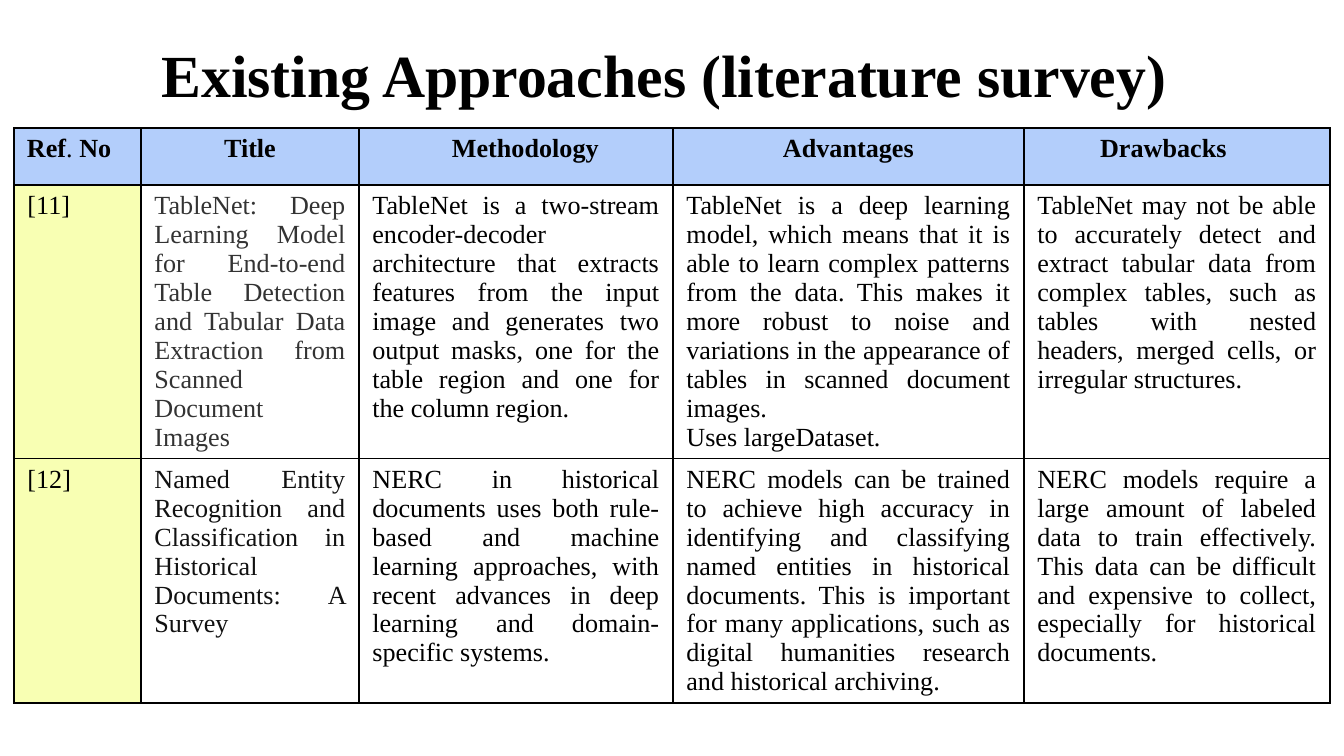
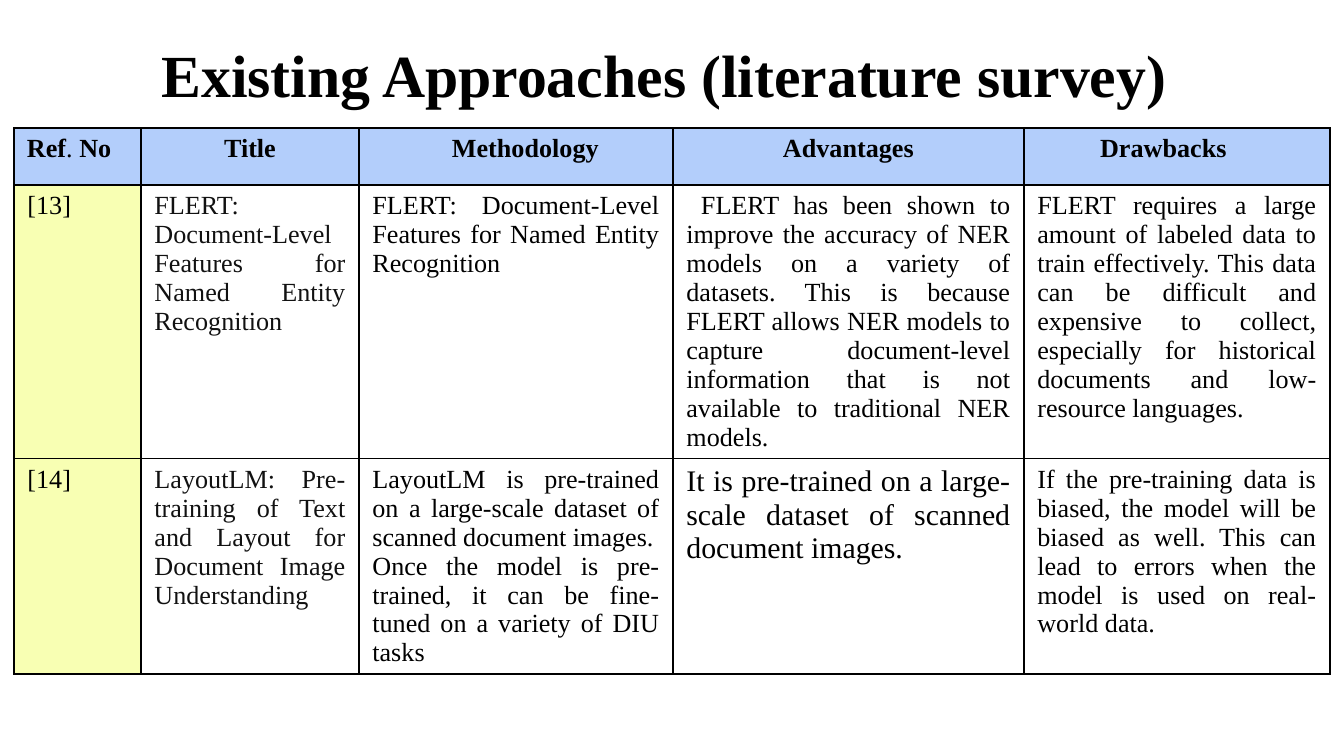
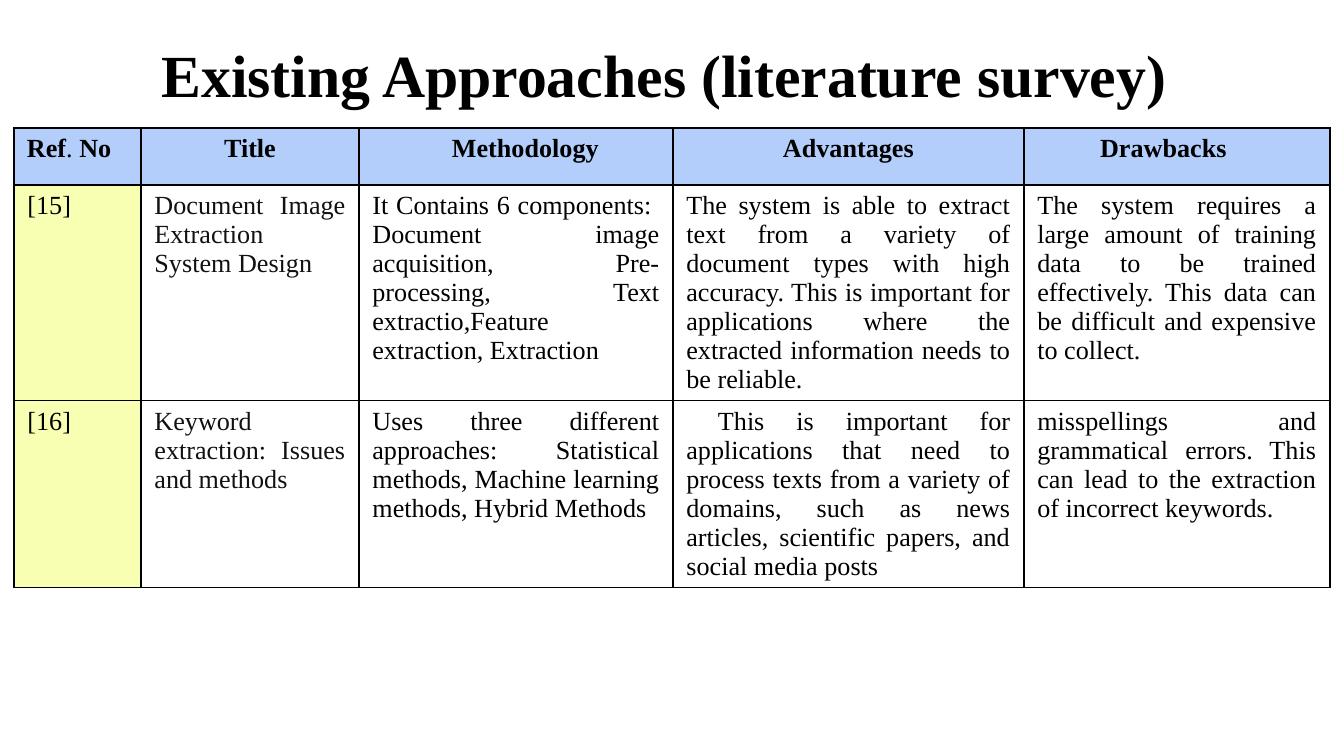
from dataclasses import dataclass
from typing import NamedTuple

from lxml import etree
from pptx import Presentation
from pptx.dml.color import RGBColor
from pptx.enum.text import MSO_ANCHOR, MSO_AUTO_SIZE, PP_ALIGN
from pptx.oxml.ns import qn
from pptx.util import Emu, Pt

CENTER, JUSTIFY = PP_ALIGN.CENTER, PP_ALIGN.JUSTIFY
MIDDLE, NO_AUTOFIT = MSO_ANCHOR.MIDDLE, MSO_AUTO_SIZE.NONE

EMU_PER_PX = 914400 / 134.4
TITLE_ONLY_LAYOUT = 5


@dataclass(frozen=True)
class Theme:
    font: str = "Times New Roman"
    ink: str = "000000"
    soft_ink: str = "111111"
    gray_ink: str = "333333"
    header_fill: str = "B3CEFB"
    reference_fill: str = "F8FFB3"
    title_size: int = 32
    body_size: int = 14
    large_size: int = 16
    border_width: int = 1


THEME = Theme()


class Column(NamedTuple):
    heading: str
    width: int
    align: PP_ALIGN = CENTER
    extra_left: int = 0
    extra_right: int = 0


class Paper(NamedTuple):
    ref: str
    title: str
    methodology: str
    advantages: str
    drawbacks: str
    title_color: str = THEME.soft_ink
    advantages_size: int = THEME.body_size


class SurveyPage(NamedTuple):
    table_height: int
    papers: tuple[Paper, ...]


SURVEY_TITLE = "Existing Approaches (literature survey) "
TABLE_LEFT, TABLE_TOP = 14, 128
HEADER_HEIGHT, PAPER_HEIGHT = 57, 169
CELL_MARGIN = 13

COLUMNS = (
    Column("Ref|. |No", 127, JUSTIFY),
    Column("Title", 218),
    Column("Methodology", 314, extra_left=19),
    Column("Advantages", 351),
    Column("Drawbacks", 306, extra_right=27),
)

PAGES = (
    SurveyPage(617, (
        Paper(
            "[11]",
            "TableNet: Deep Learning Model for End-to-end Table Detection and "
            "Tabular Data Extraction from Scanned Document Images",
            "TableNet is a two-stream encoder-decoder architecture that extracts "
            "features from the input image and generates two output masks, one for "
            "the table region and one for the column region.",
            "TableNet is a deep learning model, which means that it is able to learn "
            "complex patterns from the data. This makes it more robust to noise and "
            "variations in the appearance of tables in scanned document images.\n"
            "Uses largeDataset.",
            "TableNet may not be able to accurately detect and extract tabular data "
            "from complex tables, such as tables with nested headers, merged cells, "
            "or irregular structures.",
            title_color=THEME.gray_ink,
        ),
        Paper(
            "[12]",
            "Named Entity Recognition and Classification in Historical Documents: "
            "A Survey",
            "NERC in historical documents uses both rule-based and machine learning "
            "approaches, with recent advances in deep learning and domain-specific "
            "systems.",
            "NERC models can be trained to achieve high accuracy in identifying and "
            "classifying named entities in historical documents. This is important "
            "for many applications, such as digital humanities research and "
            "historical archiving.",
            "NERC models require a large amount of labeled data to train effectively. "
            "This data can be difficult and expensive to collect, especially for "
            "historical documents.",
        ),
    )),
    SurveyPage(585, (
        Paper(
            "[13]",
            "FLERT: Document-Level Features for Named Entity Recognition",
            "FLERT: Document-Level Features for Named Entity Recognition",
            " FLERT has been shown to improve the accuracy of NER models on a variety "
            "of datasets. This is because FLERT allows NER models to capture "
            "document-level information that is not available to traditional NER "
            "models.",
            "FLERT requires a large amount of labeled data to train effectively. This "
            "data can be difficult and expensive to collect, especially for "
            "historical documents and low-resource languages.",
        ),
        Paper(
            "[14]",
            "LayoutLM: Pre-training of Text and Layout for Document Image "
            "Understanding",
            "LayoutLM is pre-trained on a large-scale dataset of scanned document "
            "images.\n"
            "Once the model is pre-trained, it can be fine-tuned on a variety of DIU "
            "tasks",
            "It is pre-trained on a large-scale dataset of scanned document images.",
            "If the pre-training data is biased, the model will be biased as well. "
            "This can lead to errors when the model is used on real-world data.",
            advantages_size=THEME.large_size,
        ),
    )),
    SurveyPage(491, (
        Paper(
            "[15]",
            "Document Image Extraction System Design",
            "It Contains 6 components:  Document image acquisition, "
            "Pre-processing, Text extractio,Feature extraction, Extraction",
            "The system is able to extract text from a variety of document types with "
            "high accuracy. This is important for applications where the extracted "
            "information needs to be reliable.",
            "The system requires a large amount of training data to be trained "
            "effectively. This data can be difficult and expensive to collect.",
        ),
        Paper(
            "[16]",
            "Keyword extraction: Issues and methods",
            "Uses three different approaches: Statistical methods, Machine learning "
            "methods, Hybrid Methods",
            " This is important for applications that need to process texts from a "
            "variety of domains, such as news articles, scientific papers, and social "
            "media posts",
            "misspellings and grammatical errors. This can lead to the extraction of "
            "incorrect keywords.",
        ),
    )),
)


def px(length: int) -> Emu:
    return Emu(round(length * EMU_PER_PX))


def write_text(frame, text: str, *, size: int = THEME.body_size,
               color: str = THEME.ink, bold: bool = False,
               align: PP_ALIGN = JUSTIFY) -> None:
    """Write one paragraph per line; each "|" switches bold on or off."""
    for index, line in enumerate(text.split("\n")):
        paragraph = frame.add_paragraph() if index else frame.paragraphs[0]
        paragraph.alignment = align
        for piece_index, piece in enumerate(line.split("|")):
            run = paragraph.add_run()
            run.text = piece
            run.font.name = THEME.font
            run.font.size = Pt(size)
            run.font.bold = bold ^ (piece_index % 2 == 1)
            run.font.color.rgb = RGBColor.from_string(color)


def format_cell(cell, fill: str | None = None) -> None:
    """Draw the four borders, then set the fill that must follow them."""
    properties = cell._tc.get_or_add_tcPr()
    for side in ("a:lnL", "a:lnR", "a:lnT", "a:lnB"):
        border = etree.SubElement(properties, qn(side), w=str(Pt(THEME.border_width)))
        solid = etree.SubElement(border, qn("a:solidFill"))
        etree.SubElement(solid, qn("a:srgbClr"), val=THEME.ink)
    if fill:
        cell.fill.solid()
        cell.fill.fore_color.rgb = RGBColor.from_string(fill)
    else:
        cell.fill.background()


def add_title(slide) -> None:
    title = slide.shapes.title
    title.left, title.top, title.width, title.height = map(px, (0, 19, 1344, 109))
    frame = title.text_frame
    frame.margin_left = frame.margin_right = px(CELL_MARGIN)
    frame.margin_top = frame.margin_bottom = px(CELL_MARGIN)
    frame.word_wrap = True
    frame.auto_size = NO_AUTOFIT
    frame.vertical_anchor = MIDDLE
    write_text(frame, SURVEY_TITLE, size=THEME.title_size, bold=True, align=CENTER)


def fill_header(table) -> None:
    for index, column in enumerate(COLUMNS):
        table.columns[index].width = px(column.width)
        cell = table.cell(0, index)
        format_cell(cell, THEME.header_fill)
        cell.margin_left = px(CELL_MARGIN + column.extra_left)
        cell.margin_right = px(CELL_MARGIN + column.extra_right)
        write_text(cell.text_frame, column.heading, bold=True, align=column.align)


def fill_paper(table, row: int, paper: Paper) -> None:
    ref, title, methodology, advantages, drawbacks = (
        table.cell(row, index) for index in range(len(COLUMNS)))
    format_cell(ref, THEME.reference_fill)
    for cell in (title, methodology, advantages, drawbacks):
        format_cell(cell)
    write_text(ref.text_frame, paper.ref)
    write_text(title.text_frame, paper.title, color=paper.title_color)
    write_text(methodology.text_frame, paper.methodology)
    write_text(advantages.text_frame, paper.advantages, size=paper.advantages_size)
    write_text(drawbacks.text_frame, paper.drawbacks)


def add_survey_table(slide, page: SurveyPage) -> None:
    width = sum(column.width for column in COLUMNS)
    table_frame = slide.shapes.add_table(
        len(page.papers) + 1, len(COLUMNS),
        px(TABLE_LEFT), px(TABLE_TOP), px(width), px(page.table_height))
    table = table_frame.table
    table.first_row = table.horz_banding = False
    fill_header(table)
    table.rows[0].height = px(HEADER_HEIGHT)
    for row, paper in enumerate(page.papers, start=1):
        table.rows[row].height = px(PAPER_HEIGHT)
        fill_paper(table, row, paper)
    table_frame.height = px(page.table_height)


def main() -> None:
    presentation = Presentation()
    presentation.slide_width, presentation.slide_height = px(1344), px(756)
    layout = presentation.slide_layouts[TITLE_ONLY_LAYOUT]
    for page in PAGES:
        slide = presentation.slides.add_slide(layout)
        add_title(slide)
        add_survey_table(slide, page)
    presentation.save("out.pptx")


if __name__ == "__main__":
    main()
